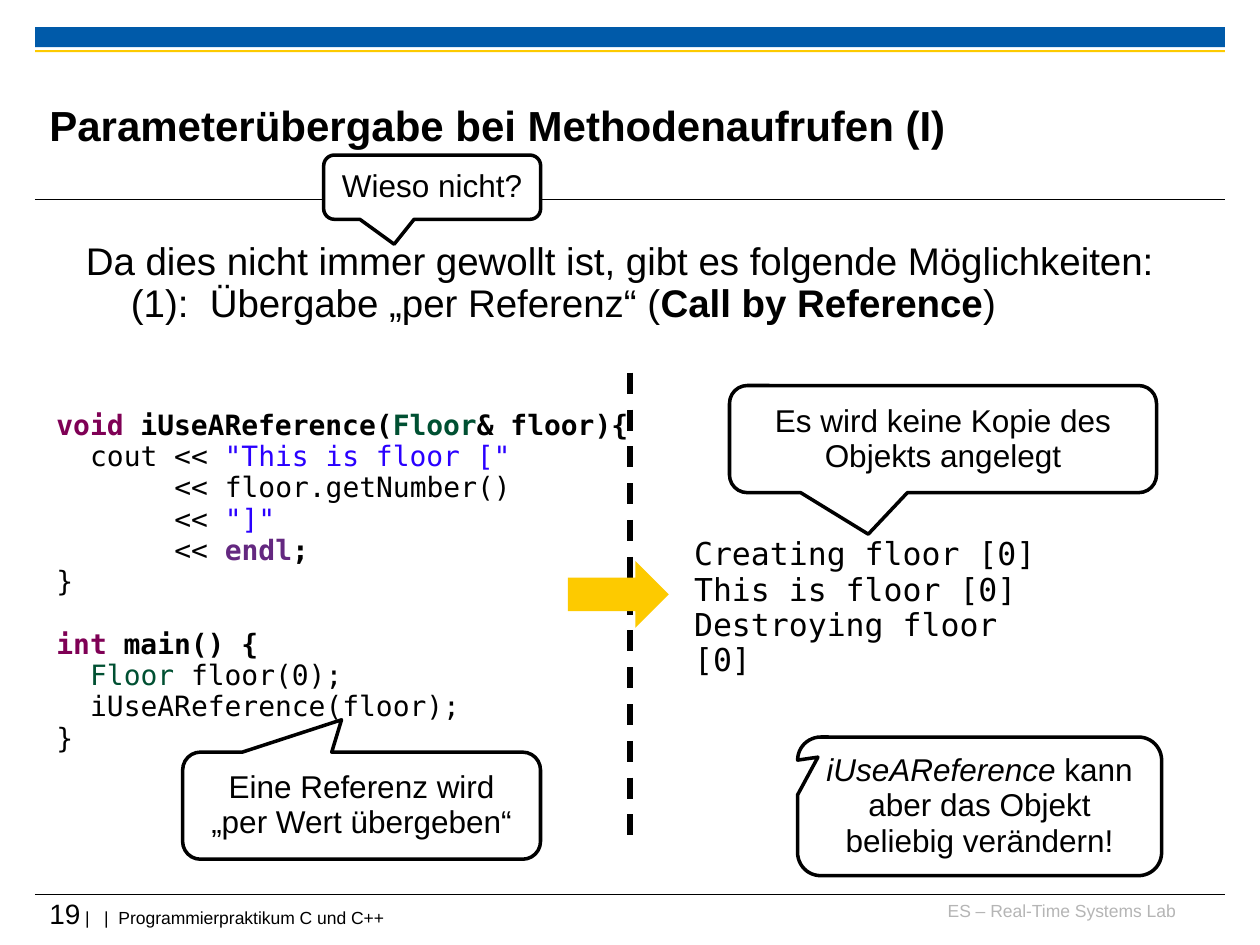
from dataclasses import dataclass
from typing import Optional

from lxml import etree
from pptx import Presentation
from pptx.dml.color import RGBColor
from pptx.enum.dml import MSO_LINE
from pptx.enum.shapes import MSO_CONNECTOR, MSO_SHAPE
from pptx.enum.text import MSO_ANCHOR, PP_ALIGN
from pptx.oxml.ns import qn
from pptx.util import Pt

RECTANGLE = MSO_SHAPE.RECTANGLE
RIGHT_ARROW = MSO_SHAPE.RIGHT_ARROW
ROUND_CALLOUT = MSO_SHAPE.ROUNDED_RECTANGULAR_CALLOUT
STRAIGHT = MSO_CONNECTOR.STRAIGHT
DASH = MSO_LINE.DASH
LEFT, CENTER, RIGHT = PP_ALIGN.LEFT, PP_ALIGN.CENTER, PP_ALIGN.RIGHT
TOP, MIDDLE = MSO_ANCHOR.TOP, MSO_ANCHOR.MIDDLE

SANS, MONO = "Arial", "DejaVu Sans Mono"
BLACK, WHITE, GREY = "000000", "FFFFFF", "B5B5B5"
BLUE, YELLOW = "005AA9", "FDCA00"
KEYWORD, TYPE, STRING, CONSTANT = "7F0055", "005032", "2A00FF", "642880"
TIGHT = 0.93
CODE_SIZE = 16
CODE_COLUMN = 0.602 * CODE_SIZE  # advance width of one monospaced character
CODE_LINE = 18


@dataclass
class Box:
    left: float
    top: float
    width: float
    height: float

    def lengths(self) -> tuple:
        return Pt(self.left), Pt(self.top), Pt(self.width), Pt(self.height)


@dataclass
class Run:
    text: str
    color: Optional[str] = None
    bold: Optional[bool] = None
    italic: Optional[bool] = None
    size: Optional[float] = None


@dataclass
class Line:
    runs: list[Run]
    indent: float = 0
    space_before: float = 0
    align: PP_ALIGN = LEFT


@dataclass
class Style:
    size: float
    font: str = SANS
    color: str = BLACK
    spacing: float = TIGHT


@dataclass
class Callout:
    box: Box
    tip: tuple[float, float]
    runs: list[Run]


def rgb(color: str) -> RGBColor:
    return RGBColor.from_string(color)


def write(frame, lines: list[Line], style: Style) -> None:
    frame.word_wrap = True
    for number, line in enumerate(lines):
        paragraph = frame.add_paragraph() if number else frame.paragraphs[0]
        paragraph.alignment = line.align
        paragraph.line_spacing = style.spacing
        paragraph.space_before = Pt(line.space_before)
        if line.indent:
            paragraph._p.get_or_add_pPr().set("marL", str(int(Pt(line.indent))))
        paragraph.font.name = style.font
        paragraph.font.size = Pt(style.size)
        paragraph.font.color.rgb = rgb(style.color)
        for part in line.runs:
            run = paragraph.add_run()
            run.text = part.text
            if part.color:
                run.font.color.rgb = rgb(part.color)
            if part.bold:
                run.font.bold = True
            if part.italic:
                run.font.italic = True
            if part.size:
                run.font.size = Pt(part.size)


def add_text(slide, box: Box, lines: list[Line], style: Style,
             padded: bool = True, anchor: MSO_ANCHOR = TOP) -> None:
    frame = slide.shapes.add_textbox(*box.lengths()).text_frame
    frame.vertical_anchor = anchor
    if not padded:
        frame.margin_left = frame.margin_right = Pt(0)
        frame.margin_top = frame.margin_bottom = Pt(0)
    write(frame, lines, style)


def add_filled(slide, kind: MSO_SHAPE, box: Box, color: str):
    shape = slide.shapes.add_shape(kind, *box.lengths())
    shape.shadow.inherit = False
    shape.fill.solid()
    shape.fill.fore_color.rgb = rgb(color)
    shape.line.fill.background()
    return shape


def add_line(slide, start: tuple[float, float], end: tuple[float, float],
             width: float, dash: Optional[MSO_LINE] = None) -> None:
    connector = slide.shapes.add_connector(
        STRAIGHT, *(Pt(value) for value in start + end))
    connector.line.color.rgb = rgb(BLACK)
    connector.line.width = Pt(width)
    if dash is not None:
        connector.line.dash_style = dash
    etree.SubElement(connector._element.spPr, qn("a:effectLst"))


def add_callout(slide, callout: Callout) -> None:
    shape = add_filled(slide, ROUND_CALLOUT, callout.box, WHITE)
    shape.line.color.rgb = rgb(BLACK)
    shape.line.width = Pt(2)
    for index, value in enumerate(callout.tip):
        shape.adjustments[index] = value
    shape.text_frame.vertical_anchor = MIDDLE
    write(shape.text_frame, [Line(callout.runs, align=CENTER)], Style(18))


def code_line(column: int, *runs: Run, space_before: float = 0) -> Line:
    return Line(list(runs), column * CODE_COLUMN, space_before)


CODE = [
    code_line(0, Run("void", KEYWORD, True), Run(" iUseAReference(", bold=True),
              Run("Floor", TYPE, True), Run("& floor){", bold=True)),
    code_line(2, Run("cout << "), Run('"This is floor ["', STRING)),
    code_line(7, Run("<< floor.getNumber()")),
    code_line(7, Run("<< "), Run('"]"', STRING)),
    code_line(7, Run("<< "), Run("endl", CONSTANT, True), Run(";", bold=True)),
    code_line(0, Run("}")),
    code_line(0, Run("int", KEYWORD, True), Run(" main() {", bold=True),
              space_before=CODE_LINE),
    code_line(2, Run("Floor", TYPE), Run(" floor(0);")),
    code_line(2, Run("iUseAReference(floor);")),
    code_line(0, Run("}")),
]
OUTPUT = ["Creating floor [0]", "This is floor [0]", "Destroying floor [0]"]
WHY_NOT = Callout(Box(185, 88.6, 124, 36.7), (-0.175, 0.888), [Run("Wieso nicht?")])
REMARKS = [
    Callout(Box(416.9, 220.3, 244, 61.2), (-0.175, 0.888),
            [Run("Es wird keine Kopie des Objekts angelegt")]),
    Callout(Box(104.4, 429.8, 204.5, 61.2), (-0.056, -0.802),
            [Run("Eine Referenz wird „per Wert übergeben“")]),
    Callout(Box(455.8, 421.2, 208, 79.2), (-0.444, -0.355),
            [Run("iUseAReference", italic=True),
             Run(" kann aber das Objekt beliebig verändern!")]),
]


def add_frame(slide) -> None:
    """Draw the bars, rules and footer around the content."""
    add_line(slide, (20, 511.2), (700, 511.2), 0.6)
    add_filled(slide, RECTANGLE, Box(20, 15.6, 680, 11.4), BLUE)
    add_line(slide, (20, 114.2), (700, 114.2), 0.6)
    add_filled(slide, RECTANGLE, Box(20, 28.6, 680, 1.2), YELLOW)
    add_text(slide, Box(530, 514, 141.8, 18),
             [Line([Run("ES – Real-Time Systems Lab")], space_before=6.2, align=RIGHT)],
             Style(10, color=GREY, spacing=1.0), padded=False)
    add_text(slide, Box(28.2, 512.6, 671.8, 23.8),
             [Line([Run("19", size=16), Run(" |   |  Programmierpraktikum C und C++")])],
             Style(10, spacing=1.0), padded=False)


def main() -> None:
    presentation = Presentation()
    presentation.slide_width, presentation.slide_height = Pt(720), Pt(540)
    slide = presentation.slides.add_slide(presentation.slide_layouts[6])
    add_frame(slide)
    add_text(slide, Box(28.2, 38.2, 541.4, 66.2),
             [Line([Run("Parameterübergabe bei Methodenaufrufen (I)", bold=True)])],
             Style(24, spacing=1.0), padded=False, anchor=MIDDLE)
    add_text(slide, Box(-2.9, 134, 714.2, 56.2), [
        Line([Run("Da dies nicht immer gewollt ist, gibt es folgende Möglichkeiten:")],
             align=CENTER),
        Line([Run("(1):  Übergabe „per Referenz“ ("),
              Run("Call by Reference", bold=True), Run(")")], indent=70.6),
    ], Style(22))
    add_line(slide, (360, 213), (360, 479.5), 3, DASH)
    add_filled(slide, RIGHT_ARROW, Box(324.6, 320.6, 57.6, 38.2), YELLOW)
    add_callout(slide, WHY_NOT)
    add_text(slide, Box(25.2, 231, 360, 203.8), CODE, Style(CODE_SIZE, MONO))
    add_text(slide, Box(389.5, 303.8, 219.6, 87.8),
             [Line([Run(text)]) for text in OUTPUT], Style(18, MONO))
    for remark in REMARKS:
        add_callout(slide, remark)
    presentation.save("out.pptx")


if __name__ == "__main__":
    main()
